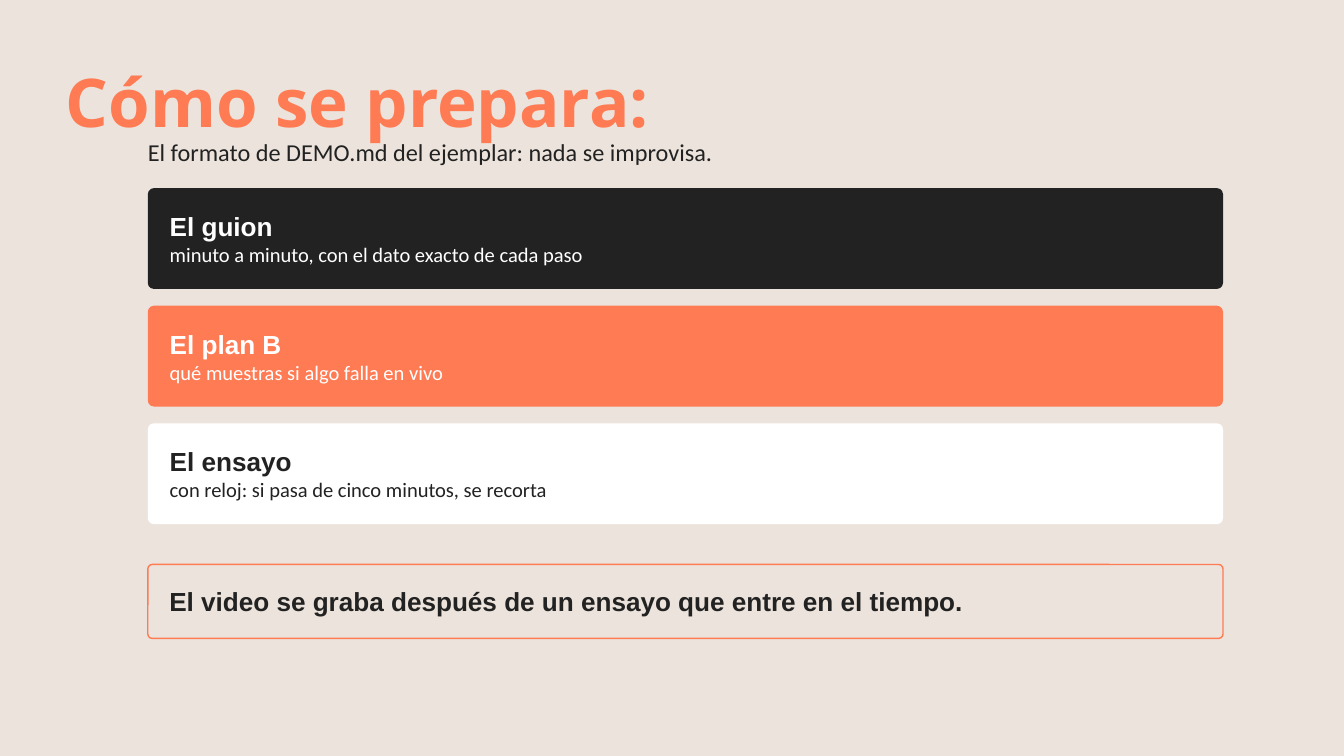
from dataclasses import dataclass

from pptx import Presentation
from pptx.dml.color import RGBColor as RGB
from pptx.enum.shapes import MSO_SHAPE as Shape
from pptx.enum.text import MSO_ANCHOR as Anchor, MSO_AUTO_SIZE as Fit, PP_ALIGN as Align
from pptx.util import Inches, Pt


@dataclass(frozen=True)
class Theme:
    sand: str = "ECE4DC"
    coral: str = "FF7B54"
    ink: str = "222222"
    white: str = "FFFFFF"
    title: int = 72
    head: int = 28
    lead: int = 26
    note: int = 22


T = Theme()
LEFT, WIDTH = 2.2, 16
CARDS = [
    ("El guion", "minuto a minuto, con el dato exacto de cada paso", T.ink, T.white),
    ("El plan B", "qué muestras si algo falla en vivo", T.coral, T.white),
    ("El ensayo", "con reloj: si pasa de cinco minutos, se recorta", T.white, T.ink),
]


def write(para, text, *, size, color, font="Calibri", bold=False, space=None):
    """Put formatted text in a paragraph."""
    para.alignment = Align.LEFT
    if space:
        para.line_spacing = Pt(space)
    run = para.add_run()
    run.text = text
    run.font.name, run.font.size, run.font.bold = font, Pt(size), bold
    run.font.color.rgb = RGB.from_string(color)


def set_frame(frame, anchor, side=0, edge=0):
    """Set wrapping, anchor and margins, and return the first paragraph."""
    frame.word_wrap, frame.auto_size = True, Fit.NONE
    frame.vertical_anchor = anchor
    frame.margin_left = frame.margin_right = Inches(side)
    frame.margin_top = frame.margin_bottom = Inches(edge)
    return frame.paragraphs[0]


def add_title(slide, text):
    box = slide.shapes.title
    box.left, box.top = Inches(0.98), Inches(0.69)
    box.width, box.height = Inches(15.65), Inches(1.34)
    para = set_frame(box.text_frame, Anchor.TOP)
    write(para, text, size=T.title, color=T.coral, font="Open Sans", bold=True, space=100.8)


def add_lead(slide, text):
    box = slide.shapes.add_textbox(Inches(LEFT), Inches(2.05), Inches(WIDTH), Inches(0.5))
    write(set_frame(box.text_frame, Anchor.TOP), text, size=T.lead, color=T.ink)


def add_card(slide, top, height, head, color, note=None, fill=None, line=None):
    """Draw a rounded card with a heading and an optional note."""
    card = slide.shapes.add_shape(
        Shape.ROUNDED_RECTANGLE, Inches(LEFT), Inches(top), Inches(WIDTH), Inches(height))
    card.adjustments[0] = 0.06
    card.shadow.inherit = False
    if fill:
        card.fill.solid()
        card.fill.fore_color.rgb = RGB.from_string(fill)
    else:
        card.fill.background()
    if line:
        card.line.color.rgb = RGB.from_string(line)
        card.line.width = Pt(1.5)
    else:
        card.line.fill.background()
    frame = card.text_frame
    para = set_frame(frame, Anchor.MIDDLE, 0.3, 0.1)
    write(para, head, size=T.head, color=color, font="Arial", bold=True)
    if note:
        write(frame.add_paragraph(), note, size=T.note, color=color)


def main():
    deck = Presentation()
    deck.slide_width, deck.slide_height = Inches(20), Inches(11.25)
    slide = deck.slides.add_slide(deck.slide_layouts[5])
    slide.background.fill.solid()
    slide.background.fill.fore_color.rgb = RGB.from_string(T.sand)

    # Heading
    add_title(slide, "Cómo se prepara:")
    add_lead(slide, "El formato de DEMO.md del ejemplar: nada se improvisa.")

    # Three steps
    for i, (head, note, fill, color) in enumerate(CARDS):
        add_card(slide, 2.8 + 1.75 * i, 1.5, head, color, note=note, fill=fill)

    # Closing rule
    add_card(slide, 8.4, 1.1, "El video se graba después de un ensayo que entre en el tiempo.",
             T.ink, line=T.coral)

    deck.save("out.pptx")


if __name__ == "__main__":
    main()
